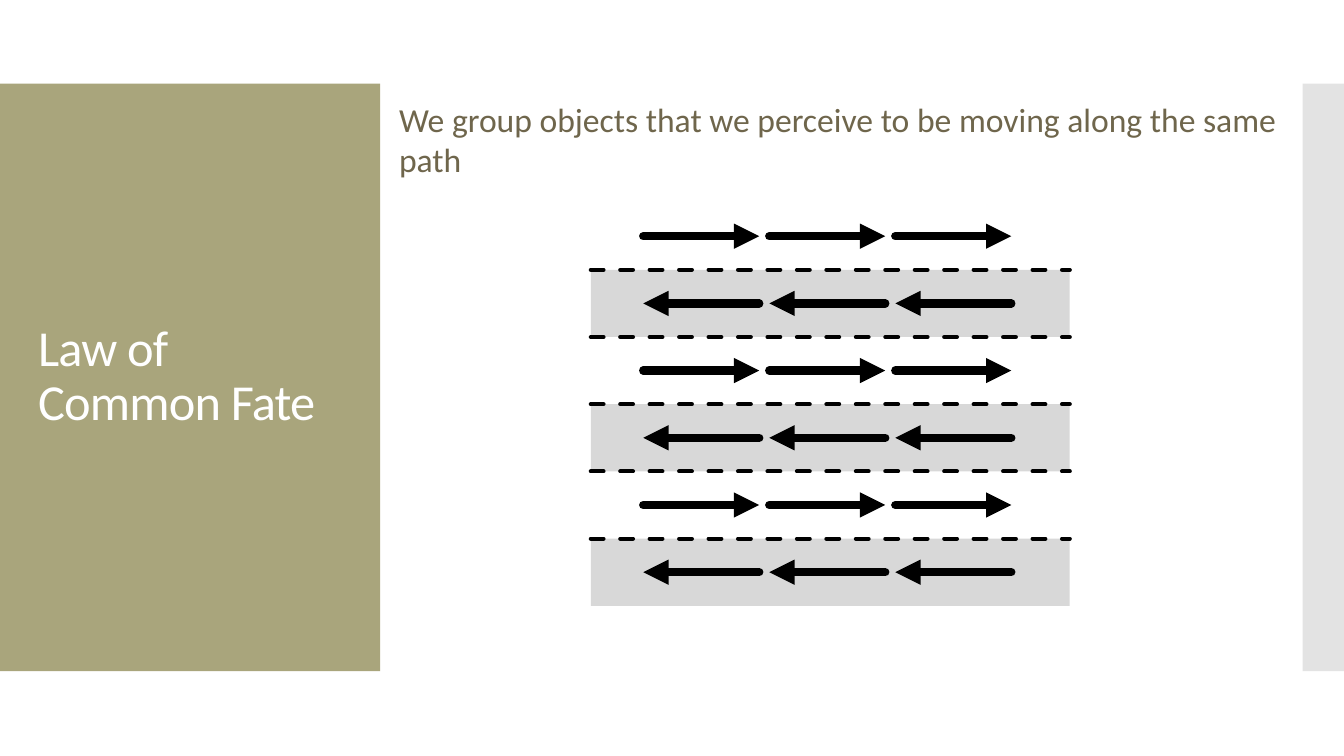
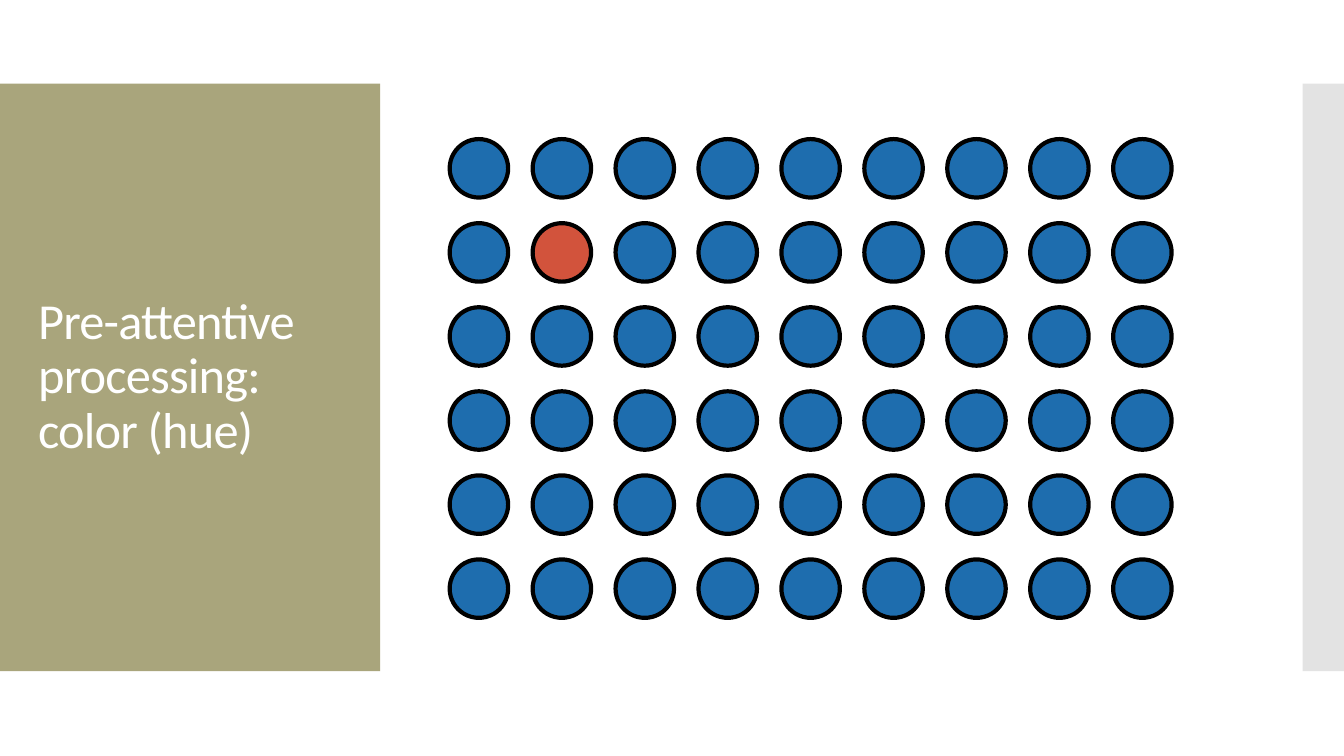
from dataclasses import dataclass

from lxml.etree import SubElement
from pptx import Presentation
from pptx.dml.color import RGBColor
from pptx.enum.dml import MSO_LINE
from pptx.enum.shapes import MSO_CONNECTOR, MSO_SHAPE
from pptx.enum.text import MSO_ANCHOR, PP_ALIGN
from pptx.oxml.ns import qn
from pptx.util import Inches, Pt


@dataclass(frozen=True)
class Theme:
    font: str = "Calibri"
    title_size: int = 36
    body_size: int = 24
    spacing: int = -60  # hundredths of a point
    white: str = "FFFFFF"
    olive: str = "A9A57C"
    brown: str = "6F664C"
    edge: str = "C8C8C8"
    lane: str = "D8D8D8"
    black: str = "000000"
    blue: str = "1E6DAE"
    red: str = "D2533C"
    thin: int = 3
    thick: int = 6


THEME = Theme()


# Basic elements
def add_box(shapes, kind, left, top, width, height, color, outline=None):
    box = shapes.add_shape(kind, Inches(left), Inches(top), Inches(width), Inches(height))
    box.shadow.inherit = False
    box.fill.solid()
    box.fill.fore_color.rgb = RGBColor.from_string(color)
    if outline:
        box.line.color.rgb = RGBColor.from_string(outline)
        box.line.width = Pt(THEME.thin)
    else:
        box.line.fill.background()
    return box


def add_text(slide, left, top, width, height, text, size, color):
    box = slide.shapes.add_textbox(Inches(left), Inches(top), Inches(width), Inches(height))
    frame = box.text_frame
    frame.word_wrap = True
    frame.text = text
    para = frame.paragraphs[0]
    para.alignment = PP_ALIGN.LEFT
    font = para.runs[0].font
    font.name = THEME.font
    font.size = Pt(size)
    font.color.rgb = RGBColor.from_string(color)
    return frame


def add_line(shapes, start, end, y, width, dashed=False, arrow=False):
    link = shapes.add_connector(
        MSO_CONNECTOR.STRAIGHT, Inches(start), Inches(y), Inches(end), Inches(y))
    link.line.color.rgb = RGBColor.from_string(THEME.black)
    link.line.width = Pt(width)
    if dashed:
        link.line.dash_style = MSO_LINE.DASH
    props = link._element.spPr
    stroke = props.find(qn("a:ln"))
    stroke.set("cap", "rnd")
    if arrow:
        SubElement(stroke, qn("a:tailEnd"), type="triangle")
    SubElement(props, qn("a:effectLst"))


# Shared frame: side bands and title
def add_slide(deck, title):
    slide = deck.slides.add_slide(deck.slide_layouts[6])
    top, height = 0.83, 5.83
    add_box(slide.shapes, MSO_SHAPE.RECTANGLE, 0, top, 3.77, height, THEME.olive)
    strip = add_box(slide.shapes, MSO_SHAPE.RECTANGLE, 12.92, top, 0.42, height, THEME.edge)
    tint = strip._element.spPr.find(qn("a:solidFill"))[0]
    SubElement(tint, qn("a:alpha"), val="50000")

    frame = add_text(slide, 0.28, 1.23, 3.22, 5.03, title, THEME.title_size, THEME.white)
    frame.vertical_anchor = MSO_ANCHOR.MIDDLE
    para = frame.paragraphs[0]
    para.line_spacing = 0.9
    para.runs[0].font._element.set("spc", str(THEME.spacing))
    return slide


# Lanes of arrows in alternating directions
def add_lanes(slide):
    left, top, width, pitch, rows = 5.86, 2.01, 4.75, 2 / 3, 6
    lanes = slide.shapes.add_group_shape().shapes
    for row in range(1, rows, 2):
        add_box(lanes, MSO_SHAPE.RECTANGLE, left, top + row * pitch, width, pitch, THEME.lane)
    for row in range(1, rows):
        add_line(lanes, left, left + width, top + row * pitch, THEME.thin, dashed=True)

    arrows = slide.shapes.add_group_shape().shapes
    for row in range(rows):
        for col in range(3):
            start = 6.38 + col * 1.25
            end = start + 1.15
            if row % 2:
                start, end = end, start
            add_line(arrows, start, end, top + (row + 0.5) * pitch, THEME.thick, arrow=True)


# Grid of dots with one odd hue
def add_dots(slide, odd):
    rows, cols, size = 6, 9, 0.58
    left, right, top, bottom = 4.46, 11.04, 1.38, 5.55
    for row in range(rows):
        for col in range(cols):
            x = left + col * (right - left) / (cols - 1)
            y = top + row * (bottom - top) / (rows - 1)
            color = THEME.red if (row, col) == odd else THEME.blue
            add_box(slide.shapes, MSO_SHAPE.OVAL, x, y, size, size, color, THEME.black)


def main():
    deck = Presentation()
    deck.slide_width, deck.slide_height = Inches(13.33), Inches(7.5)

    fate = add_slide(deck, "Law of Common Fate")
    add_text(fate, 3.86, 0.93, 9, 5.33,
             "We group objects that we perceive to be moving along the same path",
             THEME.body_size, THEME.brown)
    add_lanes(fate)

    hue = add_slide(deck, "Pre-attentive processing: color (hue)")
    add_dots(hue, odd=(1, 1))

    deck.save("out.pptx")


if __name__ == "__main__":
    main()
